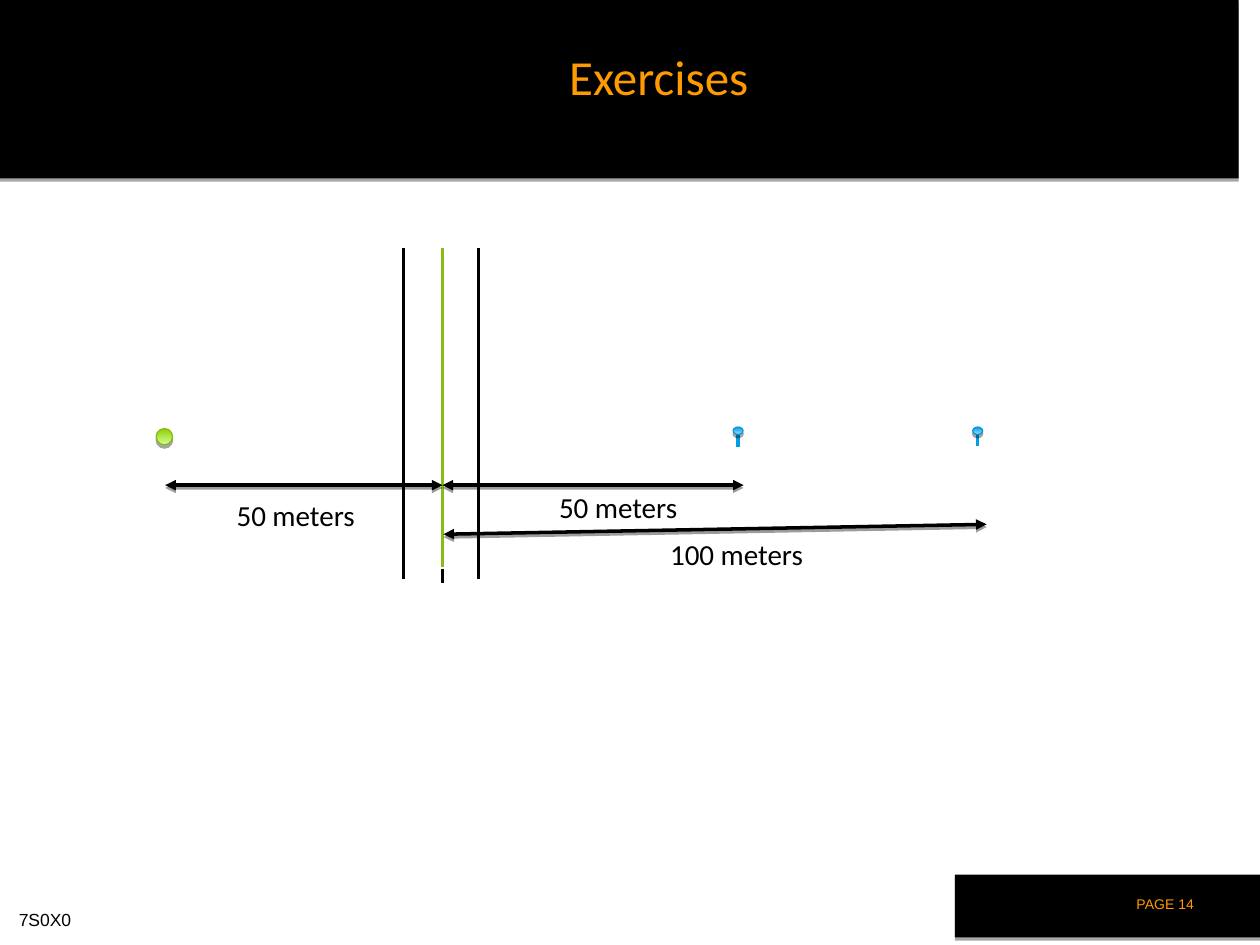
from lxml.etree import SubElement
from pptx import Presentation
from pptx.dml.color import RGBColor
from pptx.enum.dml import MSO_LINE
from pptx.enum.shapes import MSO_CONNECTOR, MSO_SHAPE
from pptx.enum.text import MSO_ANCHOR, PP_ALIGN
from pptx.oxml.ns import qn
from pptx.util import Cm, Pt

BLACK = RGBColor(0x00, 0x00, 0x00)
ORANGE = RGBColor(0xFF, 0x9A, 0x00)
ROAD_GREEN = RGBColor(0x89, 0xBA, 0x17)
STEM_BLUE = RGBColor(0x00, 0x9E, 0xE0)
BLUE_BALL = (RGBColor(0x00, 0x9D, 0xDF), RGBColor(0xAD, 0xD4, 0xFF), RGBColor(0x00, 0x9A, 0xDB))
GREEN_BALL = (RGBColor(0x91, 0xCF, 0x00), RGBColor(0xD2, 0xFF, 0x9C), RGBColor(0x87, 0xB9, 0x12))


def set_shadow(sp, alpha=0, dist=0):
    """Replace the theme effect with a drop shadow, or with none if alpha is 0."""
    effects = SubElement(sp._element.spPr, qn("a:effectLst"))
    if alpha:
        shadow = SubElement(effects, qn("a:outerShdw"), blurRad="0", dist=str(Pt(dist)),
                            dir="5400000", rotWithShape="0")
        color = SubElement(shadow, qn("a:srgbClr"), val=str(BLACK))
        SubElement(color, qn("a:alpha"), val=str(alpha * 1000))


def add_band(s, x, y, w, h):
    """Add a black bar with a shadow."""
    sp = s.shapes.add_shape(MSO_SHAPE.RECTANGLE, Cm(x), Cm(y), Cm(w), Cm(h))
    sp.fill.solid()
    sp.fill.fore_color.rgb = BLACK
    sp.line.fill.background()
    set_shadow(sp, 35, 1.8)
    return sp


def add_ball(s, x, y, w, h, colors):
    """Add an ellipse shaded from top to bottom."""
    sp = s.shapes.add_shape(MSO_SHAPE.OVAL, Cm(x), Cm(y), Cm(w), Cm(h))
    top, bottom, edge = colors
    sp.fill.gradient()
    sp.fill.gradient_angle = 270
    for stop, position, color in zip(sp.fill.gradient_stops, (0, 1), (top, bottom)):
        stop.position = position
        stop.color.rgb = color
    sp.line.color.rgb = edge
    sp.line.width = Pt(0.75)
    set_shadow(sp, 35, 1.8)


def add_line(s, x1, y1, x2, y2, color=BLACK, dash=None, arrow=False):
    """Add a 2 pt line, or a shadowed double arrow."""
    line = s.shapes.add_connector(MSO_CONNECTOR.STRAIGHT, Cm(x1), Cm(y1), Cm(x2), Cm(y2))
    line.line.color.rgb = color
    line.line.width = Pt(2)
    if dash:
        line.line.dash_style = dash
    if arrow:
        ln = line.line._get_or_add_ln()
        for end in ("a:headEnd", "a:tailEnd"):
            SubElement(ln, qn(end), type="triangle")
        set_shadow(line, 38, 1.6)
    else:
        set_shadow(line)


def add_text(s, x, y, w, h, text, size, color=BLACK, font="Arial"):
    """Add a one-line text box without margins, centred vertically."""
    tf = s.shapes.add_textbox(Cm(x), Cm(y), Cm(w), Cm(h)).text_frame
    tf.word_wrap = True
    tf.margin_left = tf.margin_right = tf.margin_top = tf.margin_bottom = 0
    tf.vertical_anchor = MSO_ANCHOR.MIDDLE
    p = tf.paragraphs[0]
    p.text = text
    p.font.name, p.font.size, p.font.color.rgb = font, Pt(size), color
    return tf


def add_label(s, x, y, text):
    """Add a distance label."""
    tf = add_text(s, x, y, 6.12, 0.86, text, 16.6, font="Calibri")
    tf.margin_left = tf.margin_right = Cm(0.25)
    tf.margin_top = tf.margin_bottom = Cm(0.13)
    tf.vertical_anchor = MSO_ANCHOR.TOP
    tf.paragraphs[0].line_spacing = 0.8


def build_header(s, x, y, w, h):
    """Place the black header with the slide title."""
    band = add_band(s, x, y, w, h)
    title = s.shapes.title
    band._element.addnext(title._element)
    title.left, title.top = Cm(x + 2.13), Cm(y + 0.81)
    title.width, title.height = Cm(22.3), Cm(2.57)
    tf = title.text_frame
    tf.vertical_anchor = MSO_ANCHOR.TOP
    p = tf.paragraphs[0]
    p.text = "Exercises"
    p.alignment = PP_ALIGN.CENTER
    p.font.name, p.font.size, p.font.color.rgb = "Calibri", Pt(28), ORANGE


def build_road_scene(s, x, y, h):
    """Place the road, the source, the two receivers and their distances."""
    middle = x + 5.77
    for edge in (4.98, 6.5):
        add_line(s, x + edge, y, x + edge, y + h)
    for stem, foot in ((11.73, 4.02), (16.56, 3.99)):
        add_line(s, x + stem, y + foot, x + stem, y + foot - 0.28, STEM_BLUE)
        add_ball(s, x + stem - 0.1, y + 3.61, 0.2, 0.15, BLUE_BALL)
    add_line(s, middle, y, middle, y + h + 0.08, dash=MSO_LINE.DASH)
    add_line(s, middle, y, middle, y + h - 0.25, ROAD_GREEN)
    add_ball(s, x, y + 3.64, 0.33, 0.33, GREEN_BALL)

    distances = (
        ("100 meters", (5.79, 5.77, 16.74, 5.57), (10.11, 5.82)),
        ("50 meters", (5.77, 4.78, 11.84, 4.78), (7.87, 4.88)),
        ("50 meters", (0.18, 4.78, 5.77, 4.78), (1.37, 5.03)),
    )
    for text, (x1, y1, x2, y2), (dx, dy) in distances:
        add_line(s, x + x1, y + y1, x + x2, y + y2, arrow=True)
        add_label(s, x + dx, y + dy, text)


def build_footer(s, x, y, w, h):
    """Place the page number bar and the course code."""
    add_band(s, x, y, w, h)
    add_text(s, x + 3.66, y + 0.33, 1.7, 0.51, "PAGE 14", 8, ORANGE)
    add_text(s, 0.38, y + 0.66, 10, 0.51, "7S0X0", 10)


def main():
    """Build and save the slide."""
    prs = Presentation()
    prs.slide_width, prs.slide_height = Cm(25.4), Cm(19.05)
    s = prs.slides.add_slide(prs.slide_layouts[5])
    build_header(s, 0, 0, 24.97, 3.6)
    build_road_scene(s, 3.15, 5, 6.68)
    build_footer(s, 19.25, 17.63, 6.15, 1.27)
    prs.save("out.pptx")


if __name__ == "__main__":
    main()
